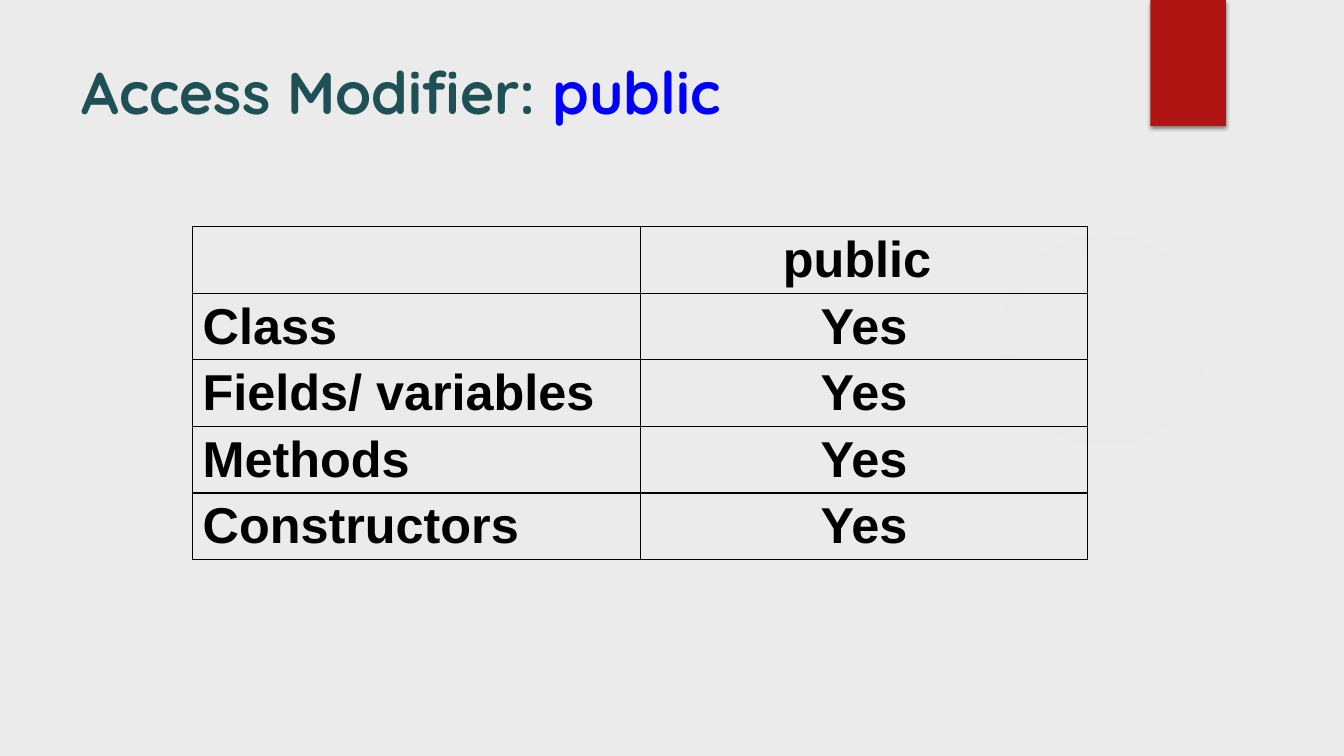
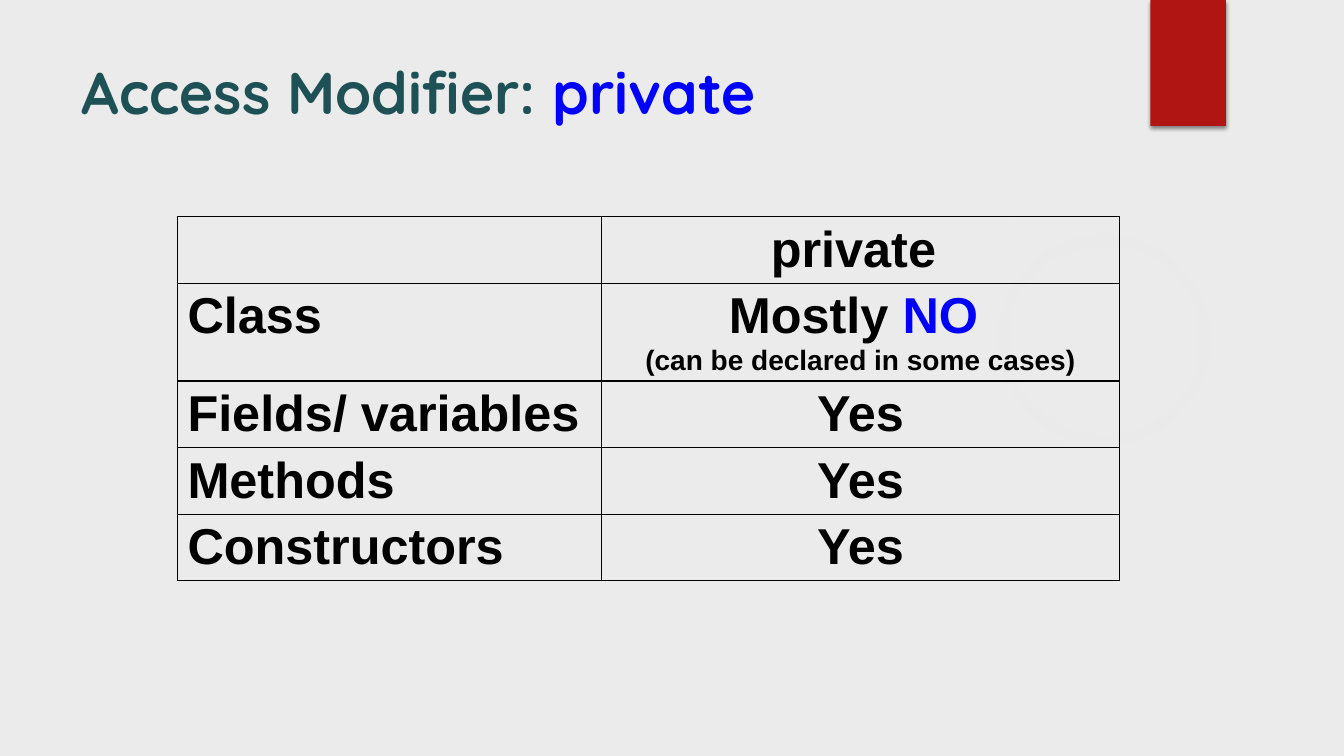
from pptx import Presentation
from pptx.dml.color import RGBColor as RGB
from pptx.enum.shapes import MSO_SHAPE as SHAPE
from pptx.enum.text import MSO_ANCHOR as ANCHOR, MSO_AUTO_SIZE as FIT, PP_ALIGN as ALIGN
from pptx.oxml import parse_xml
from pptx.oxml.ns import nsdecls
from pptx.util import Inches, Pt

PAPER = RGB(0xEB, 0xEB, 0xEB)
GLOW = RGB(0xF3, 0xF3, 0xF3)
RED = RGB(0xB0, 0x15, 0x13)
TEAL = RGB(0x1E, 0x51, 0x55)
BLUE = RGB(0x00, 0x00, 0xFF)
BLACK = RGB(0x00, 0x00, 0x00)
HEAD, BODY = "Quicksand", "Arial"
ROW, NOTE = 0.66, 0.31
YES = [[("Yes", 36, BLACK)]]
PARTS = ["Class", "Fields/ variables", "Methods", "Constructors"]


def add_run(para, text, size, color, font=BODY):
    """Add one bold run to a paragraph."""
    run = para.add_run()
    run.text = text
    run.font.name = font
    run.font.size = Pt(size)
    run.font.bold = True
    run.font.color.rgb = color


def add_shape(slide, kind, left, top, width, height):
    """Add a preset shape without outline or shadow."""
    shape = slide.shapes.add_shape(
        kind, Inches(left), Inches(top), Inches(width), Inches(height))
    shape.shadow.inherit = False
    shape.line.fill.background()
    return shape


def add_glow(slide):
    """Add the faint circle that fades outwards."""
    disc = add_shape(slide, SHAPE.OVAL, 9.41, 1.83, 3.08, 3.08)
    disc.fill.background()
    stops = "".join(
        f'<a:gs pos="{pos * 1000}"><a:srgbClr val="{GLOW}">'
        f'<a:alpha val="{alpha * 1000}"/></a:srgbClr></a:gs>'
        for pos, alpha in [(0, 7), (36, 6), (69, 0), (100, 0)])
    grad = parse_xml(
        f'<a:gradFill {nsdecls("a")}><a:gsLst>{stops}</a:gsLst><a:path path="circle">'
        '<a:fillToRect l="50000" t="50000" r="50000" b="50000"/></a:path></a:gradFill>')
    props = disc.element.spPr
    props.replace(props.find("{*}noFill"), grad)


def add_flag(slide):
    """Add the red tab with its soft shadow."""
    flag = add_shape(slide, SHAPE.RECTANGLE, 11.41, 0, 0.75, 1.25)
    flag.fill.solid()
    flag.fill.fore_color.rgb = RED
    flag.element.spPr.find("{*}effectLst").append(parse_xml(
        f'<a:outerShdw {nsdecls("a")} blurRad="{Pt(3)}" dist="{Pt(2)}" dir="5400000">'
        f'<a:srgbClr val="{BLACK}"><a:alpha val="45000"/></a:srgbClr></a:outerShdw>'))


def set_title(slide, word):
    """Place the title and colour its keyword."""
    title = slide.shapes.title
    title.left, title.top = Inches(0.71), Inches(0.5)
    title.width, title.height = Inches(10.29), Inches(1.07)
    frame = title.text_frame
    frame.auto_size = FIT.NONE
    frame.vertical_anchor = ANCHOR.TOP
    para = frame.paragraphs[0]
    para.alignment = ALIGN.LEFT
    add_run(para, "Access Modifier: ", 42, TEAL, HEAD)
    add_run(para, word, 42, BLUE, HEAD)


def fill_cell(cell, lines, align):
    """Write the lines of a clear cell and rule its four sides."""
    cell.fill.background()
    props = cell._tc.get_or_add_tcPr()
    for spot, side in enumerate(["lnL", "lnR", "lnT", "lnB"]):
        props.insert(spot, parse_xml(
            f'<a:{side} {nsdecls("a")} w="{Pt(1)}"><a:solidFill>'
            f'<a:srgbClr val="{BLACK}"/></a:solidFill></a:{side}>'))
    frame = cell.text_frame
    for spot, runs in enumerate(lines):
        para = frame.add_paragraph() if spot else frame.paragraphs[0]
        para.alignment = align
        for run in runs:
            add_run(para, *run)


def add_grid(slide, word, answers, left, top, widths):
    """Add the table that lists where the keyword is allowed."""
    rows = [([], [[(word + " ", 36, BLACK)]])]
    rows += [([[(part, 36, BLACK)]], answer) for part, answer in zip(PARTS, answers)]
    heights = [ROW + NOTE * (len(answer) - 1) for _, answer in rows]
    table = slide.shapes.add_table(
        len(rows), len(widths), Inches(left), Inches(top),
        Inches(sum(widths)), Inches(sum(heights))).table
    table.first_row = table.horz_banding = False
    for col, width in zip(table.columns, widths):
        col.width = Inches(width)
    for row, height, pair in zip(table.rows, heights, rows):
        row.height = Inches(height)
        for cell, lines, align in zip(row.cells, pair, [ALIGN.LEFT, ALIGN.CENTER]):
            fill_cell(cell, lines, align)


def add_page(deck, word, answers, left, top, widths):
    """Add one slide about an access modifier."""
    slide = deck.slides.add_slide(deck.slide_layouts[5])
    add_glow(slide)
    add_flag(slide)
    set_title(slide, word)
    add_grid(slide, word, answers, left, top, widths)


def main():
    """Build and save the deck."""
    deck = Presentation()
    deck.slide_width, deck.slide_height = Inches(13.33), Inches(7.5)
    paper = deck.slide_master.background.fill
    paper.solid()
    paper.fore_color.rgb = PAPER
    rare = [[("Mostly ", 36, BLACK), ("NO ", 36, BLUE)],
            [("(can be declared in some cases)", 20, BLACK)]]
    add_page(deck, "public", [YES] * 4, 1.91, 2.25, [4.44, 4.44])
    add_page(deck, "private", [rare] + [YES] * 3, 1.76, 2.15, [4.21, 5.13])
    deck.save("out.pptx")


if __name__ == "__main__":
    main()
